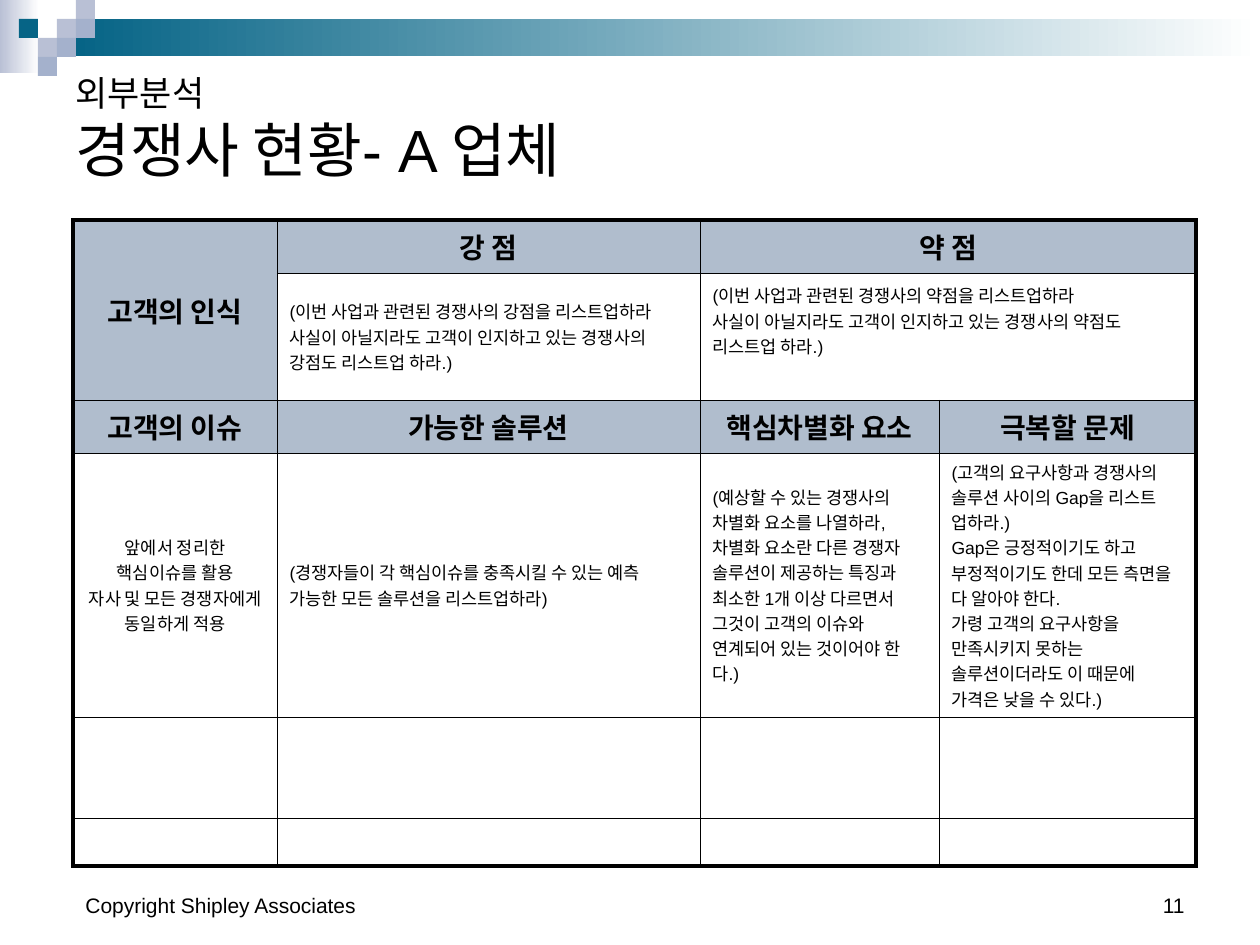
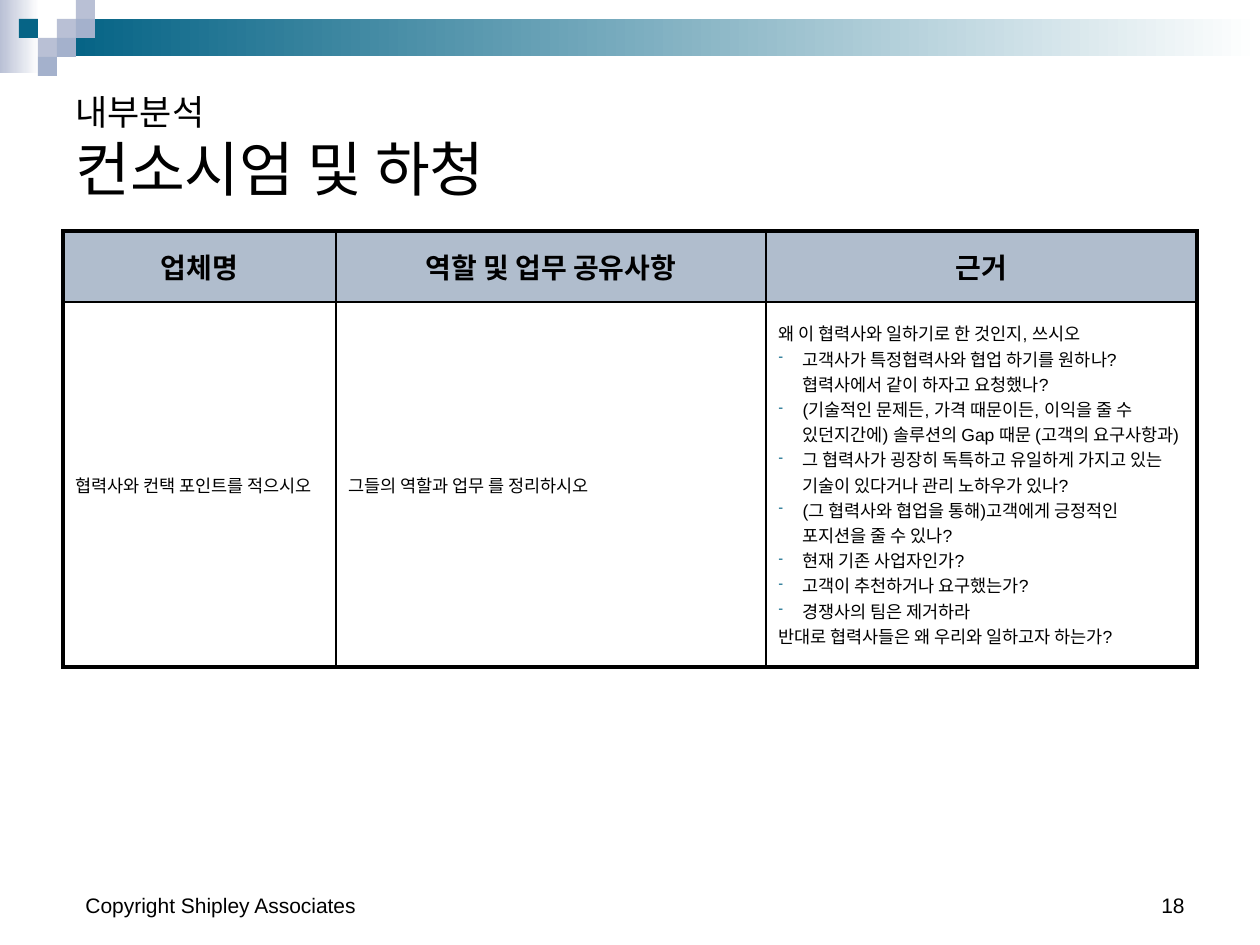
from lxml import etree
from pptx import Presentation
from pptx import util as u
from pptx.dml.color import RGBColor
from pptx.enum import shapes, text
from pptx.oxml import ns

PX = 914400 / 126
BLACK = RGBColor(0, 0, 0)
WHITE = RGBColor(255, 255, 255)
TEAL = RGBColor(0x06, 0x64, 0x86)
LILAC = RGBColor(0xB9, 0xC0, 0xD5)
BLUE = RGBColor(0xA4, 0xB1, 0xCC)
HEADER = RGBColor(0xB0, 0xBD, 0xCD)
LEFT, CENTER, RIGHT = text.PP_ALIGN.LEFT, text.PP_ALIGN.CENTER, text.PP_ALIGN.RIGHT
TILE = 19
OUTER = 2.25


def px(n):
    return u.Emu(round(n * PX))


def sub(parent, tag, **attrs):
    return etree.SubElement(parent, ns.qn(tag), {k: str(v) for k, v in attrs.items()})


class Deck:
    font = "Arial"

    def __init__(self):
        self.prs = Presentation()
        self.prs.slide_width, self.prs.slide_height = px(1260), px(945)
        self.s = None

    def rect(self, x, y, w, h, color, fade=False):
        sp = self.s.shapes.add_shape(shapes.MSO_SHAPE.RECTANGLE, px(x), px(y), px(w), px(h))
        sp.shadow.inherit = False
        sp.line.fill.background()
        if fade:
            sp.fill.gradient()
            sp.fill.gradient_angle = 0
            for stop, rgb, pos in zip(sp.fill.gradient_stops, (color, WHITE), (0, 1)):
                stop.color.rgb = rgb
                stop.position = pos
        else:
            sp.fill.solid()
            sp.fill.fore_color.rgb = color

    def run(self, p, words, size, bold=False):
        r = p.add_run()
        r.text = words
        r.font.name, r.font.size, r.font.bold = self.font, u.Pt(size), bold
        r.font.color.rgb = BLACK

    def label(self, x, y, w, h, lines, align=LEFT):
        tf = self.s.shapes.add_textbox(px(x), px(y), px(w), px(h)).text_frame
        tf.word_wrap = True
        tf.vertical_anchor = text.MSO_ANCHOR.BOTTOM
        p = tf.paragraphs[0]
        p.alignment = align
        for i, (words, size) in enumerate(lines):
            if i:
                p.add_line_break()
            self.run(p, words, size)

    def slide(self, section, title, title_y, number):
        self.s = self.prs.slides.add_slide(self.prs.slide_layouts[6])
        self.rect(0, 0, 39, 73, LILAC, fade=True)
        self.rect(76, TILE, 1184, 2 * TILE - 1, TEAL, fade=True)
        tiles = [(3, 1, LILAC), (4, 0, LILAC), (4, 1, BLUE), (2, 2, LILAC),
                 (1, 1, TEAL), (3, 2, BLUE), (2, 3, BLUE)]
        for col, row, color in tiles:
            self.rect(col * TILE, row * TILE, TILE, TILE, color)
        self.label(903, 861, 294, 63, [(number, 12)], RIGHT)
        self.label(73, 861, 399, 63, [("Copyright Shipley Associates", 12)])
        self.label(63, title_y, 1134, 147, [(section, 20), (title, 34)])

    def borders(self, cell, widths):
        tc_pr = cell._tc.get_or_add_tcPr()
        for i, (side, width) in enumerate(zip("LRTB", widths)):
            ln = etree.Element(ns.qn(f"a:ln{side}"), w=str(u.Pt(width)))
            sub(sub(ln, "a:solidFill"), "a:srgbClr", val=BLACK)
            tc_pr.insert(i, ln)

    def bullet(self, p):
        p_pr = p._p.get_or_add_pPr()
        p_pr.set("marL", str(px(24)))
        p_pr.set("indent", str(-px(24)))
        sub(sub(p_pr, "a:buClr"), "a:srgbClr", val=TEAL)
        sub(p_pr, "a:buSzPct", val=75000)
        sub(p_pr, "a:buChar", char="-")

    def fill_cell(self, cell, lines, header, align):
        cell.fill.solid()
        cell.fill.fore_color.rgb = HEADER if header else WHITE
        cell.vertical_anchor = text.MSO_ANCHOR.MIDDLE
        if not lines:
            cell.margin_top = cell.margin_bottom = 0
        tf = cell.text_frame
        for i, words in enumerate(lines):
            p = tf.add_paragraph() if i else tf.paragraphs[0]
            if words.startswith("- "):
                self.bullet(p)
                words = words[2:]
            p.alignment = align
            self.run(p, words, 16 if header else 10, header)

    def table(self, x, y, cols, rows, content, headers, inner, spans=(), centered=()):
        table = self.s.shapes.add_table(len(rows), len(cols), px(x), px(y),
                                        px(sum(cols)), px(sum(rows))).table
        table.first_row = table.horz_banding = False
        for col, width in zip(table.columns, cols):
            col.width = px(width)
        for row, height in zip(table.rows, rows):
            row.height = px(height)
        for start, end in spans:
            table.cell(*start).merge(table.cell(*end))
        for r in range(len(rows)):
            for c in range(len(cols)):
                cell = table.cell(r, c)
                if cell.is_spanned:
                    continue
                header = r in headers or cell.span_height > 1
                align = CENTER if header or (r, c) in centered else LEFT
                self.fill_cell(cell, content.get((r, c), []), header, align)
                right = c + (cell.span_width if cell.is_merge_origin else 1)
                bottom = r + (cell.span_height if cell.is_merge_origin else 1)
                edges = (c == 0, right == len(cols), r == 0, bottom == len(rows))
                self.borders(cell, [OUTER if edge else inner for edge in edges])
        return table


def competitor_slide(deck):
    deck.slide("외부분석", "경쟁사 현황- A 업체", 44, "11")
    content = {
        (0, 0): ["고객의 인식"],
        (0, 1): ["강 점"],
        (0, 2): ["약 점"],
        (1, 1): ["(이번 사업과 관련된 경쟁사의 강점을 리스트업하라",
                 "사실이 아닐지라도 고객이 인지하고 있는 경쟁사의 강점도 리스트업 하라.)"],
        (1, 2): ["(이번 사업과 관련된 경쟁사의 약점을 리스트업하라",
                 "사실이 아닐지라도 고객이 인지하고 있는 경쟁사의 약점도 리스트업 하라.)"],
        (2, 0): ["고객의 이슈"],
        (2, 1): ["가능한 솔루션"],
        (2, 2): ["핵심차별화 요소"],
        (2, 3): ["극복할 문제"],
        (3, 0): ["앞에서 정리한", "핵심이슈를 활용", "자사 및 모든 경쟁자에게 동일하게 적용"],
        (3, 1): ["(경쟁자들이 각 핵심이슈를 충족시킬 수 있는 예측 가능한 모든 솔루션을 리스트업하라)"],
        (3, 2): ["(예상할 수 있는 경쟁사의 차별화 요소를 나열하라,",
                 "차별화 요소란 다른 경쟁자 솔루션이 제공하는 특징과 최소한 1개 이상 다르면서 "
                 "그것이 고객의 이슈와 연계되어 있는 것이어야 한다.)"],
        (3, 3): ["(고객의 요구사항과 경쟁사의 솔루션 사이의 Gap을 리스트 업하라.)",
                 "Gap은 긍정적이기도 하고 부정적이기도 한데 모든 측면을 다 알아야 한다.",
                 "가령 고객의 요구사항을 만족시키지 못하는 솔루션이더라도 이 때문에 가격은 낮을 수 있다.)"],
    }
    table = deck.table(73, 220, [204, 423, 239, 257], [53, 127, 53, 264, 101, 48], content,
                       headers=(0, 2), inner=0.25, centered=[(3, 0)],
                       spans=[((0, 0), (1, 0)), ((0, 2), (0, 3)), ((1, 2), (1, 3))])
    table.cell(1, 2).margin_bottom = px(38)


def consortium_slide(deck):
    deck.slide("내부분석", "컨소시엄 및 하청", 63, "18")
    content = {
        (0, 0): ["업체명"],
        (0, 1): ["역할 및 업무 공유사항"],
        (0, 2): ["근거"],
        (1, 0): ["협력사와 컨택 포인트를 적으시오"],
        (1, 1): ["그들의 역할과 업무 를 정리하시오"],
        (1, 2): ["왜 이 협력사와 일하기로 한 것인지, 쓰시오",
                 "- 고객사가 특정협력사와 협업 하기를 원하나? 협력사에서 같이 하자고 요청했나?",
                 "- (기술적인 문제든, 가격 때문이든, 이익을 줄 수 있던지간에) 솔루션의 Gap 때문 "
                 "(고객의 요구사항과)",
                 "- 그 협력사가 굉장히 독특하고 유일하게 가지고 있는 기술이 있다거나 관리 노하우가 있나?",
                 "- (그 협력사와 협업을 통해)고객에게 긍정적인 포지션을 줄 수 있나?",
                 "- 현재 기존 사업자인가?",
                 "- 고객이 추천하거나 요구했는가?",
                 "- 경쟁사의 팀은 제거하라",
                 "반대로 협력사들은 왜 우리와 일하고자 하는가?"],
    }
    deck.table(63, 231, [273, 430, 431], [71, 365], content, headers=(0,), inner=1)


def main():
    deck = Deck()
    competitor_slide(deck)
    consortium_slide(deck)
    deck.prs.save("out.pptx")


if __name__ == "__main__":
    main()
